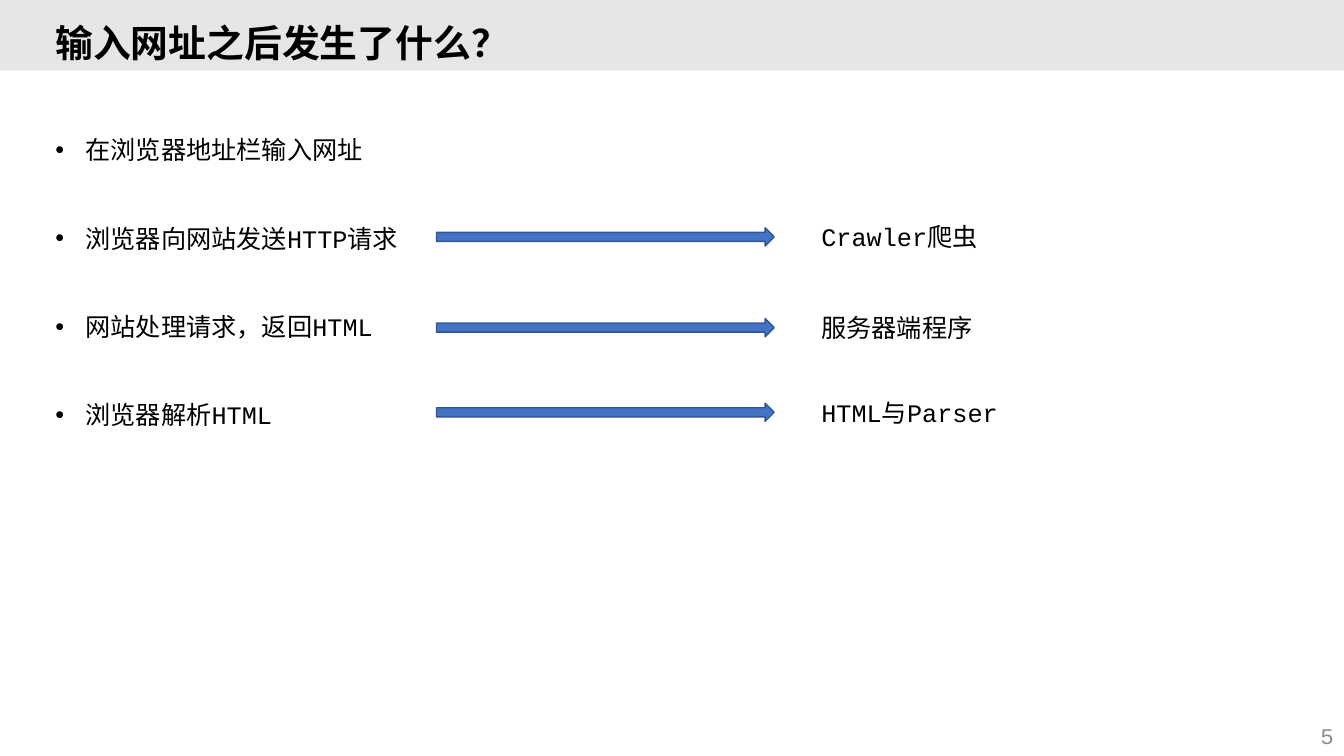
from dataclasses import dataclass

from lxml import etree
from pptx import Presentation
from pptx.dml.color import RGBColor
from pptx.enum.shapes import MSO_SHAPE
from pptx.enum.text import MSO_ANCHOR, PP_ALIGN
from pptx.oxml.ns import qn
from pptx.util import Pt

RECT, ARROW = MSO_SHAPE.RECTANGLE, MSO_SHAPE.RIGHT_ARROW
TOP, MIDDLE = MSO_ANCHOR.TOP, MSO_ANCHOR.MIDDLE
LEFT, RIGHT = PP_ALIGN.LEFT, PP_ALIGN.RIGHT


@dataclass(frozen=True)
class Theme:
    font: str = "Courier New"
    band: str = "E7E6E6"
    ink: str = "000000"
    muted: str = "8C8C8C"
    arrow: str = "4472C4"
    arrow_line: str = "325491"
    title_size: int = 27
    body_size: int = 18
    number_size: int = 16


theme = Theme()


def add_text(s, lines, box, size=theme.body_size, color=theme.ink, bold=False,
             align=LEFT, anchor=TOP, inset_top=3.6, line=None, gap=0, indent=0):
    """Write one paragraph per line; a positive indent makes them bullets."""
    tf = s.shapes.add_textbox(*(Pt(v) for v in box)).text_frame
    tf.word_wrap = True
    tf.vertical_anchor = anchor
    tf.margin_top = Pt(inset_top)
    for i, text in enumerate(lines):
        p = tf.paragraphs[0] if i == 0 else tf.add_paragraph()
        p.alignment = align
        p.space_before = Pt(gap if i else 0)
        if line:
            p.line_spacing = line
        r = p.add_run()
        r.text = text
        r.font.name = theme.font
        r.font.size = Pt(size)
        r.font.bold = bold
        r.font.color.rgb = RGBColor.from_string(color)
        if indent:
            pPr = p._p.get_or_add_pPr()
            pPr.set("marL", str(Pt(indent)))
            pPr.set("indent", str(-Pt(indent)))
            etree.SubElement(pPr, qn("a:buFont"), typeface="Arial")
            etree.SubElement(pPr, qn("a:buChar"), char="•")


def add_filled(s, kind, box, fill, line=None):
    shape = s.shapes.add_shape(kind, *(Pt(v) for v in box))
    shape.shadow.inherit = False
    shape.fill.solid()
    shape.fill.fore_color.rgb = RGBColor.from_string(fill)
    if line:
        shape.line.color.rgb = RGBColor.from_string(line)
        shape.line.width = Pt(1)
    else:
        shape.line.fill.background()


prs = Presentation()
prs.slide_width, prs.slide_height = Pt(960), Pt(540)
s = prs.slides.add_slide(prs.slide_layouts[6])

add_filled(s, RECT, (0, 0, 960, 50.4), theme.band)
add_text(s, ["输入网址之后发生了什么？"], (32.4, 7.9, 900.7, 49),
         size=theme.title_size, bold=True, anchor=MIDDLE, line=0.9)

steps = ["在浏览器地址栏输入网址", "浏览器向网站发送HTTP请求",
         "网站处理请求，返回HTML", "浏览器解析HTML"]
add_text(s, steps, (32.4, 59.8, 900.7, 469.4), inset_top=35.8,
         line=Pt(22), gap=41.2, indent=21.6)

topics = [("Crawler爬虫", 162.7, 220.3),
          ("服务器端程序", 227.5, 149),
          ("HTML与Parser", 288, 154.8)]
for topic, top, width in topics:
    add_filled(s, ARROW, (311.8, top, 241.2, 13), theme.arrow, theme.arrow_line)
    add_text(s, [topic], (579.6, top - 8, width, 28.8))

add_text(s, ["5"], (743.8, 511.2, 216, 28.8), size=theme.number_size,
         color=theme.muted, align=RIGHT, anchor=MIDDLE)

prs.save("out.pptx")
